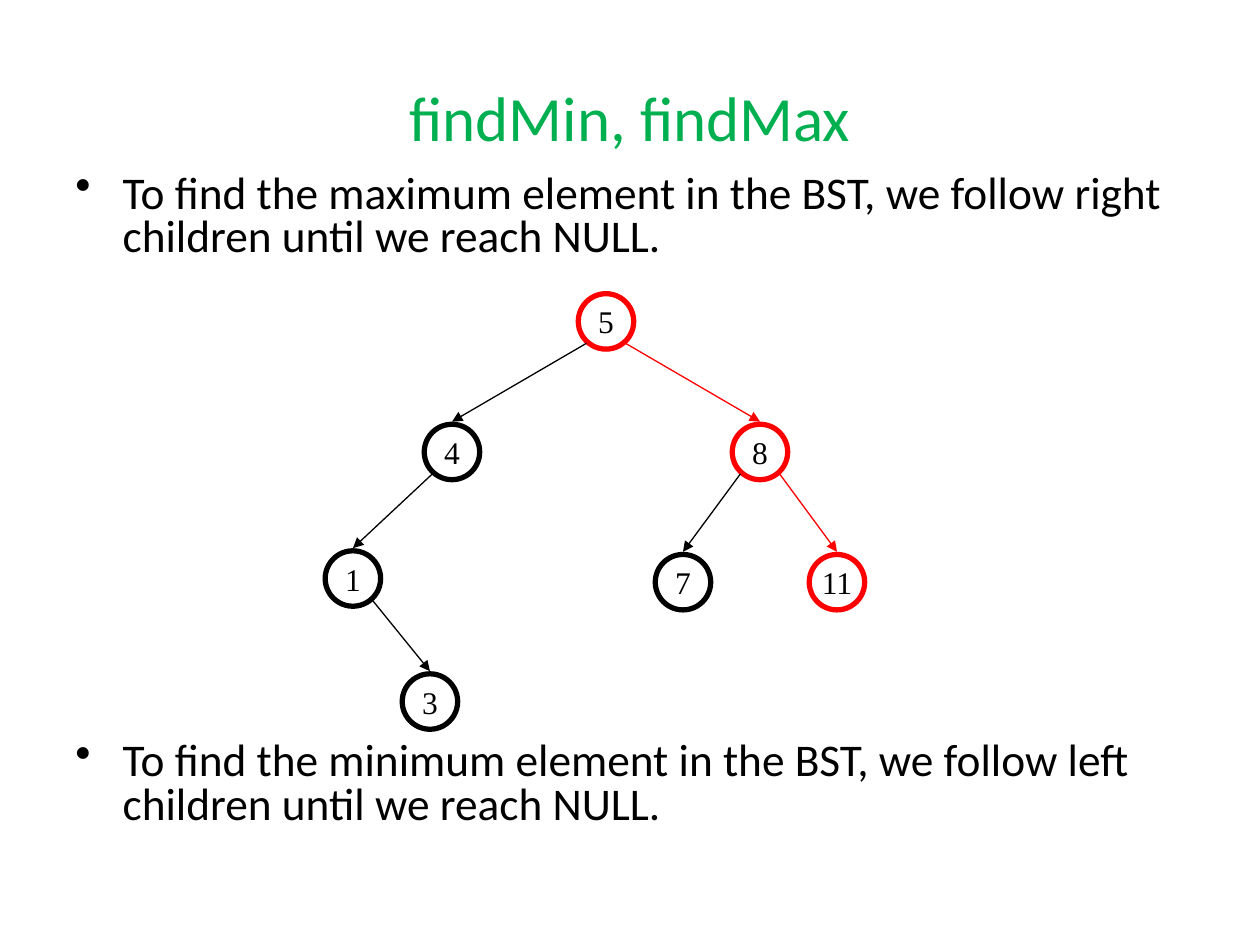
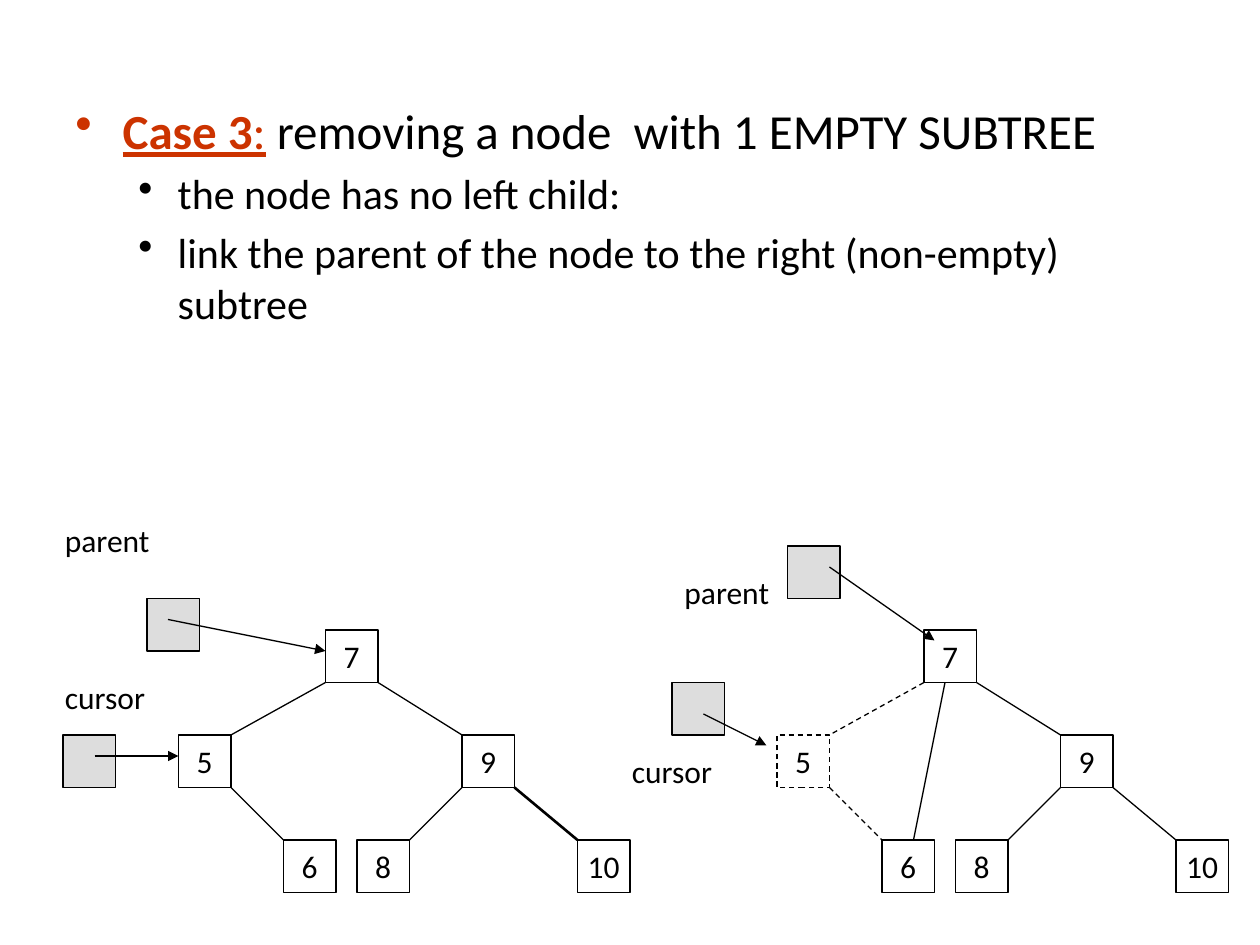
"""Build two slides on binary search trees: findMin/findMax and node removal."""
from dataclasses import dataclass

import pptx
import pptx.dml.color
import pptx.enum.dml
import pptx.enum.shapes
import pptx.enum.text
import pptx.oxml
import pptx.oxml.ns
import pptx.util

Pt = pptx.util.Pt
ALIGN = pptx.enum.text.PP_ALIGN
ANCHOR = pptx.enum.text.MSO_ANCHOR
SHAPE = pptx.enum.shapes.MSO_SHAPE


@dataclass(frozen=True)
class Theme:
    """Colours, fonts, type sizes and line widths of the deck."""
    ink: str = "000000"
    title: str = "00B050"
    accent: str = "CC3300"
    search_path: str = "FF0000"
    pointer: str = "DDDDDD"
    font: str = "Calibri"
    circle_font: str = "Times New Roman"
    title_size: float = 36
    body_size: float = 25.9
    case_size: float = 28
    detail_size: float = 24
    label_size: float = 18
    thin: float = 0.75
    medium: float = 1.5
    thick: float = 3


THEME = Theme()
CELL = 30
DIAMETER = 31.7


def rgb(colour):
    """Return the colour object for a hex string."""
    return pptx.dml.color.RGBColor.from_string(colour)


def style_font(font, size, colour=THEME.ink, name=THEME.font):
    """Set size, colour and typeface of a font."""
    font.size, font.name = Pt(size), name
    font.color.rgb = rgb(colour)


def style_line(line, colour, width, dashed=False):
    """Set colour, width and dash of an outline or connector."""
    line.color.rgb = rgb(colour)
    line.width = Pt(width)
    if dashed:
        line.dash_style = pptx.enum.dml.MSO_LINE.DASH


def add_xml(parent, tag, **attributes):
    """Append a drawing element with the given attributes."""
    element = pptx.oxml.parse_xml(f"<a:{tag} {pptx.oxml.ns.nsdecls('a')}/>")
    for name, value in attributes.items():
        element.set(name, str(value))
    parent.append(element)
    return element


def add_text_box(shapes, box, anchor=ANCHOR.TOP):
    """Add a wrapping text box at (left, top, width, height)."""
    frame = shapes.add_textbox(*map(Pt, box)).text_frame
    frame.word_wrap = True
    frame.vertical_anchor = anchor
    return frame


def add_bullet(paragraph, left, hanging, colour=THEME.ink):
    """Give a paragraph a hanging bullet."""
    properties = paragraph._p.get_or_add_pPr()
    properties.set("marL", str(Pt(left)))
    properties.set("indent", str(-Pt(hanging)))
    add_xml(add_xml(properties, "buClr"), "srgbClr", val=colour)
    add_xml(properties, "buChar", char="•")


def add_line(shapes, start, end, colour=THEME.ink, width=THEME.thin,
             dashed=False, arrow=False):
    """Draw a straight line between two points."""
    connector = shapes.add_connector(
        pptx.enum.shapes.MSO_CONNECTOR.STRAIGHT, *map(Pt, (*start, *end)))
    style_line(connector.line, colour, width, dashed)
    if arrow:
        add_xml(connector.line._get_or_add_ln(), "tailEnd", type="triangle")
    add_xml(connector._element.spPr, "effectLst")


def add_node(shapes, kind, corner, size, text="", fill=None, colour=THEME.ink,
             width=THEME.thin, dashed=False, font=THEME.font):
    """Draw a square or round node with centred text."""
    shape = shapes.add_shape(kind, *map(Pt, (*corner, size, size)))
    shape.shadow.inherit = False
    if fill:
        shape.fill.solid()
        shape.fill.fore_color.rgb = rgb(fill)
    else:
        shape.fill.background()
    style_line(shape.line, colour, width, dashed)
    if not text:
        return
    frame = shape.text_frame
    frame.word_wrap = False
    frame.vertical_anchor = ANCHOR.MIDDLE
    frame.margin_left = frame.margin_right = 0
    frame.margin_top = frame.margin_bottom = 0
    paragraph = frame.paragraphs[0]
    paragraph.text = text
    paragraph.alignment = ALIGN.CENTER
    style_font(paragraph.font, THEME.label_size, name=font)


def add_title(slide, box, text):
    """Place the centred slide title."""
    paragraph = add_text_box(slide.shapes, box, ANCHOR.MIDDLE).paragraphs[0]
    paragraph.text = text
    paragraph.alignment = ALIGN.CENTER
    style_font(paragraph.font, THEME.title_size, THEME.title)


def add_search_rules(slide, box, rules, gap):
    """Place the bulleted rules, with room for the tree between them."""
    frame = add_text_box(slide.shapes, box)
    for index, rule in enumerate(rules):
        paragraph = frame.add_paragraph() if index else frame.paragraphs[0]
        paragraph.text = rule
        add_bullet(paragraph, 27, 27)
        paragraph.line_spacing = 0.8
        paragraph.space_before = Pt(gap if index else 5.2)
        style_font(paragraph.font, THEME.body_size)


def add_search_tree(slide, origin):
    """Draw the round tree, with the way to the maximum highlighted."""
    left, top = origin
    centres = {"5": (144.6, 0), "4": (56.6, 74.6), "8": (232.6, 74.6),
               "1": (0, 146.9), "7": (188.6, 149), "11": (276.6, 149),
               "3": (44, 217.2)}
    edges = ["5 4", "5 8", "8 7", "8 11", "4 1", "1 3"]
    highlighted = {"5", "8", "11"}
    radius = DIAMETER / 2
    shapes = slide.shapes.add_group_shape().shapes

    def colour_of(*nodes):
        return THEME.search_path if highlighted.issuperset(nodes) else THEME.ink

    for node, (x, y) in centres.items():
        add_node(shapes, SHAPE.OVAL, (left + x - radius, top + y - radius),
                 DIAMETER, node, colour=colour_of(node), width=THEME.thick,
                 font=THEME.circle_font)
    for edge in edges:
        parent, child = edge.split()
        (x, y), (child_x, child_y) = centres[parent], centres[child]
        side = 11.2 if child_x > x else -11.2
        add_line(shapes, (left + x + side, top + y + 12.5),
                 (left + child_x, top + child_y - radius - THEME.thick / 2),
                 colour_of(parent, child), arrow=True)


def add_case(slide, box):
    """Place the removal case and its two details."""
    frame = add_text_box(slide.shapes, box)
    heading = frame.paragraphs[0]
    add_bullet(heading, 27, 27, THEME.accent)
    heading.space_before = Pt(5.6)
    style_font(heading.font, THEME.case_size)
    for text, bold in [("Case", True), (" ", False), ("3", True), (":", False)]:
        run = heading.add_run()
        run.text = text
        run.font.bold = bold
        run.font.underline = True
        run.font.color.rgb = rgb(THEME.accent)
    heading.add_run().text = " removing a node  with 1 EMPTY SUBTREE"
    for text in ["the node has no left child:",
                 "link the parent of the node to the right (non-empty) subtree"]:
        paragraph = frame.add_paragraph()
        paragraph.text = text
        paragraph.level = 1
        add_bullet(paragraph, 58.5, 22.5)
        paragraph.space_before = Pt(4.8)
        style_font(paragraph.font, THEME.detail_size)


def add_removal_tree(slide, origin, pointers, removed=None, relink=None,
                     bold_edge=None):
    """Draw the square tree and its labelled pointers from one origin."""
    shapes = slide.shapes
    corners = {"7": (156, 66), "5": (72, 126), "9": (234, 126),
               "6": (132, 186), "8": (174, 186), "10": (300, 186)}

    def place(point):
        return origin[0] + point[0], origin[1] + point[1]

    for edge in ["7 5", "7 9", "5 6", "9 8", "9 10"]:
        parent, child = edge.split()
        (x, y), (child_x, child_y) = corners[parent], corners[child]
        right = child_x > x
        add_line(shapes, place((x + CELL * right, y + CELL)),
                 place((child_x + CELL * (not right), child_y)),
                 width=THEME.medium if edge == bold_edge else THEME.thin,
                 dashed=removed in (parent, child))
    for node, corner in corners.items():
        add_node(shapes, SHAPE.RECTANGLE, place(corner), CELL, node,
                 dashed=node == removed)
    if relink:
        add_line(shapes, *map(place, relink))
    for name, (label, corner, start, end) in pointers.items():
        add_node(shapes, SHAPE.RECTANGLE, place(corner), CELL,
                 fill=THEME.pointer)
        paragraph = add_text_box(shapes, (*place(label), 74, 36)).paragraphs[0]
        paragraph.text = name
        style_font(paragraph.font, THEME.label_size)
        add_line(shapes, place(start), place(end), arrow=True)


def build_search_slide(presentation):
    """Build the findMin, findMax slide."""
    slide = presentation.slides.add_slide(presentation.slide_layouts[6])
    add_title(slide, (36, 21.6, 648, 90), "findMin, findMax")
    add_search_rules(slide, (36, 96, 648, 414), [
        f"To find the {end} element in the BST, we follow {side} children "
        "until we reach NULL."
        for end, side in [("maximum", "right"), ("minimum", "left")]], 274.6)
    add_search_tree(slide, (201.7, 183.7))


def build_removal_slide(presentation):
    """Build the slide on removing a node, before and after."""
    slide = presentation.slides.add_slide(presentation.slide_layouts[6])
    add_case(slide, (36, 54, 648, 428.4))
    # Each pointer: label corner, box corner, arrow start, arrow end.
    add_removal_tree(slide, (30, 294), {
        "parent": ((0, 0), (54, 48), (66, 60), (156, 78)),
        "cursor": ((0, 90), (6, 126), (24, 138), (72, 138)),
    }, bold_edge="9 10")
    add_removal_tree(slide, (372, 294), {
        "parent": ((12, 30), (78, 18), (102, 30), (162, 72)),
        "cursor": ((-18, 132), (12, 96), (30, 114), (66, 132)),
    }, removed="5", relink=((168, 96), (150, 186)))


def main():
    """Build and save the presentation."""
    presentation = pptx.Presentation()
    presentation.slide_width, presentation.slide_height = Pt(720), Pt(540)
    build_search_slide(presentation)
    build_removal_slide(presentation)
    presentation.save("out.pptx")


main()
